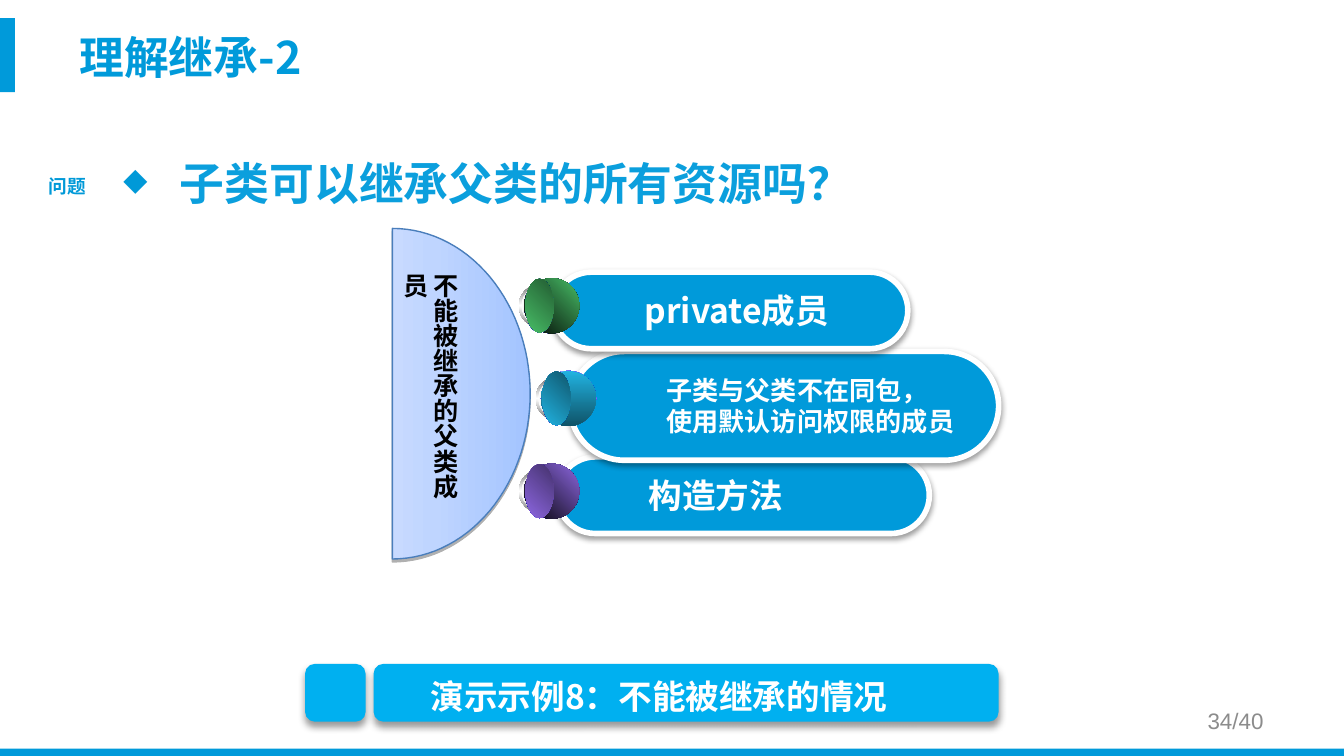
from dataclasses import dataclass
from math import cos, pi, sin

from lxml import etree
from pptx import Presentation
from pptx import util as u
from pptx.dml.color import RGBColor
from pptx.enum import shapes as sh
from pptx.enum import text as tx
from pptx.oxml.ns import qn

# Grid: 100 columns across the slide, 56.25 rows down it (16 to 9)
COLS, ROWS = 100, 56.25
CELL = u.Inches(0.1)
NOTO = "Noto Sans CJK SC"
HUE = {
    "bar": "009ADA", "ask": "0B9FDD", "mark": "0099D8", "demo": "00B0F0",
    "white": "FFFFFF", "black": "000000", "grey": "8C8C8C", "edge": "4A7EBB",
    "steel": "767676", "ash": "A2A2A2", "blue": "0000FF", "navy": "00008A",
    "pale": "C8DAFF", "mid": "BFD5FF", "deep": "A3C4FF",
    "green": "48BE67", "moss": "235C32", "cyan": "21B3E1", "teal": "0F5368",
    "sea": "10576D", "lilac": "8D67E1", "plum": "45326D",
}
RECT, OVAL, ROUND = (sh.MSO_SHAPE.RECTANGLE, sh.MSO_SHAPE.OVAL,
                     sh.MSO_SHAPE.ROUNDED_RECTANGLE)
LEFT, MID, RIGHT = tx.PP_ALIGN.LEFT, tx.PP_ALIGN.CENTER, tx.PP_ALIGN.RIGHT


@dataclass
class Box:
    col: float
    row: float
    wide: float
    high: float

    def span(self) -> list:
        return [round(n * CELL) for n in (self.col, self.row, self.wide, self.high)]


@dataclass
class Pill:
    box: Box
    lines: list
    size: float


@dataclass
class Orb:
    col: float
    ball: tuple
    turn: int
    lens: tuple


def rgb(name: str) -> RGBColor:
    return RGBColor.from_string(HUE[name])


def shade(shape, stops: list, turn: int) -> None:
    """Gradient of (percent, colour) stops, turned clockwise."""
    shape.fill.gradient()
    grad = shape._element.spPr.find(qn("a:gradFill"))
    grad.find(qn("a:lin")).set("ang", str(turn * 60000))
    row = grad.find(qn("a:gsLst"))
    for old in list(row):
        row.remove(old)
    for pos, name in stops:
        stop = etree.SubElement(row, qn("a:gs"), pos=str(pos * 1000))
        etree.SubElement(stop, qn("a:srgbClr"), val=HUE[name])


def shadow(shape, alpha: int, blur: float, dist: float) -> None:
    shape.shadow.inherit = False
    root = shape._element.spPr.find(qn("a:effectLst"))
    drop = etree.SubElement(root, qn("a:outerShdw"), blurRad=str(u.Pt(blur)),
                            dist=str(u.Pt(dist)), dir="5400000", rotWithShape="0")
    tone = etree.SubElement(drop, qn("a:srgbClr"), val=HUE["black"])
    etree.SubElement(tone, qn("a:alpha"), val=str(alpha * 1000))


def draw(home, kind, box: Box, fill: str = ""):
    shape = home.add_shape(kind, *box.span())
    shape.shadow.inherit = False
    shape.line.fill.background()
    if fill:
        shape.fill.solid()
        shape.fill.fore_color.rgb = rgb(fill)
    return shape


def write(frame, lines: list, size: float, hue: str = "white", font: str = NOTO,
          bold: bool = True, align=LEFT, anchor=tx.MSO_ANCHOR.TOP,
          wrap: bool = True, indent: float = 0, pitch: float = 0) -> None:
    frame.word_wrap = wrap
    frame.vertical_anchor = anchor
    for i, line in enumerate(lines):
        par = frame.add_paragraph() if i else frame.paragraphs[0]
        par.alignment = align
        if indent:
            par._p.get_or_add_pPr().set("marL", str(round(indent * CELL)))
        if pitch:
            par.line_spacing = u.Pt(pitch)
        run = par.add_run()
        run.text = line
        run.font.size, run.font.bold, run.font.name = u.Pt(size), bold, font
        run.font.color.rgb = rgb(hue)
        etree.SubElement(run._r.get_or_add_rPr(), qn("a:ea"), typeface=NOTO)


def label(home, box: Box, line: str, size: float, **form):
    frame = home.add_textbox(*box.span()).text_frame
    write(frame, [line], size, **form)
    return frame


def pill(home, item: Pill) -> None:
    shape = draw(home, ROUND, item.box, "bar")
    shape.adjustments[0] = 0.5
    shape.line.color.rgb = rgb("white")
    shape.line.width = u.Pt(3)
    shadow(shape, 38, 3.1, 1.6)
    write(shape.text_frame, item.lines, item.size, indent=5,
          anchor=tx.MSO_ANCHOR.MIDDLE, pitch=16.6 if len(item.lines) > 1 else 0)


def orb(home, item: Orb, row: float) -> None:
    group = home.add_group_shape().shapes
    ball, lens = (0.4, 0, 4.1, 4.1), (0.5, 0.05, 2.1, 4)
    parts = [
        ((0, 0.45, 3.1, 3.2), ("steel", "white", "steel"), 90),
        ((0.2, 0.65, 2.8, 2.8), ("white", "ash", "white"), 0),
        (ball, ("blue", "white", "blue"), 315),
        (ball, item.ball, item.turn),
        (lens, ("blue", "navy", "blue"), 45),
        (lens, item.lens, 315),
    ]
    for (dx, dy, wide, high), hues, turn in parts:
        shape = draw(group, OVAL, Box(item.col + dx, row + dy, wide, high))
        step = 100 // (len(hues) - 1)
        shade(shape, [(i * step, hue) for i, hue in enumerate(hues)], turn)


def dome(home, col: float, row: float, wide: float, high: float) -> None:
    """Half an ellipse, flat on its left side."""
    turns = [pi * (i / 60 - 0.5) for i in range(61)]
    dots = [((col + wide * cos(t)) * CELL, (row + high * (1 + sin(t)) / 2) * CELL)
            for t in turns]
    pen = home.build_freeform(*map(round, dots[0]))
    pen.add_line_segments([(round(x), round(y)) for x, y in dots[1:]], close=True)
    shape = pen.convert_to_shape()
    shade(shape, [(0, "pale"), (30, "mid"), (100, "deep")], 0)
    shape.line.color.rgb = rgb("edge")
    shape.line.width = u.Pt(0.75)
    shadow(shape, 31, 0, 1.6)


def main() -> None:
    deck = Presentation()
    deck.slide_width, deck.slide_height = COLS * CELL, round(ROWS * CELL)
    home = deck.slides.add_slide(deck.slide_layouts[6]).shapes

    # Side and foot bars
    draw(home, RECT, Box(-0.1, 1.35, 1.2, 5.5), "bar")
    draw(home, RECT, Box(-0.1, 55.7, COLS + 0.1, 0.8), "bar")

    # Question with its diamond bullet
    ask = label(home, Box(7.4, 11.1, 84.9, 37.1), "子类可以继承父类的所有资源吗？", 24,
                hue="ask", indent=5)
    lead = ask.paragraphs[0]._p.get_or_add_pPr()
    lead.set("indent", str(round(-4.2 * CELL)))
    tint = etree.SubElement(lead, qn("a:buClr"))
    etree.SubElement(tint, qn("a:srgbClr"), val=HUE["mark"])
    etree.SubElement(lead, qn("a:buSzPct"), val="70000")
    etree.SubElement(lead, qn("a:buChar"), char="◆")

    # Answers, the lowest first
    for item in (
        Pill(Box(41.45, 34, 27.7, 5.7), ["构造方法"], 18),
        Pill(Box(42.4, 26.15, 31.9, 8.1), ["子类与父类不在同包，", "使用默认访问权限的成员"], 14),
        Pill(Box(41.15, 20.25, 26.4, 5.7), ["private成员"], 18),
    ):
        pill(home, item)

    # Orbs at equal steps down the dome
    orbs = (Orb(38.6, ("black", "green"), 315, ("green", "moss")),
            Orb(39.85, ("cyan", "teal"), 90, ("cyan", "sea")),
            Orb(38.6, ("black", "lilac"), 315, ("lilac", "plum")))
    for i, item in enumerate(orbs):
        orb(home, item, 20.7 + 6.9 * i)

    # Dome and its upright caption
    dome(home, 29.2, 17, 10.25, 24.6)
    side = label(home, Box(30.45, 19.35, 4.3, 20.5), "不能被继承的父类成员", 13.5,
                 hue="black", font="Calibri")
    side._txBody.bodyPr.set("vert", "eaVert")

    # Title
    head = label(home, Box(5.9, -0.25, 90, 9.4), "理解继承-2", 24, hue="bar",
                 anchor=tx.MSO_ANCHOR.MIDDLE)
    head.margin_left = head.margin_top = 0

    # Demo banner
    for col, wide in ((22.7, 4.5), (27.8, 46.5)):
        shadow(draw(home, ROUND, Box(col, 49.4, wide, 4.3), "demo"), 40, 4, 3)
    label(home, Box(29.7, 49.8, 38.1, 4), " 演示示例8：不能被继承的情况", 18, align=MID)

    # Tag and page number
    label(home, Box(2.6, 12.5, 4.8, 2.7), "问题", 10, hue="mark", font="Arial",
          align=MID, wrap=False)
    label(home, Box(71.7, 52.15, 23.3, 3), "34/40", 12, hue="grey", font="Arial",
          bold=False, align=RIGHT, anchor=tx.MSO_ANCHOR.MIDDLE)

    deck.save("out.pptx")


if __name__ == "__main__":
    main()
